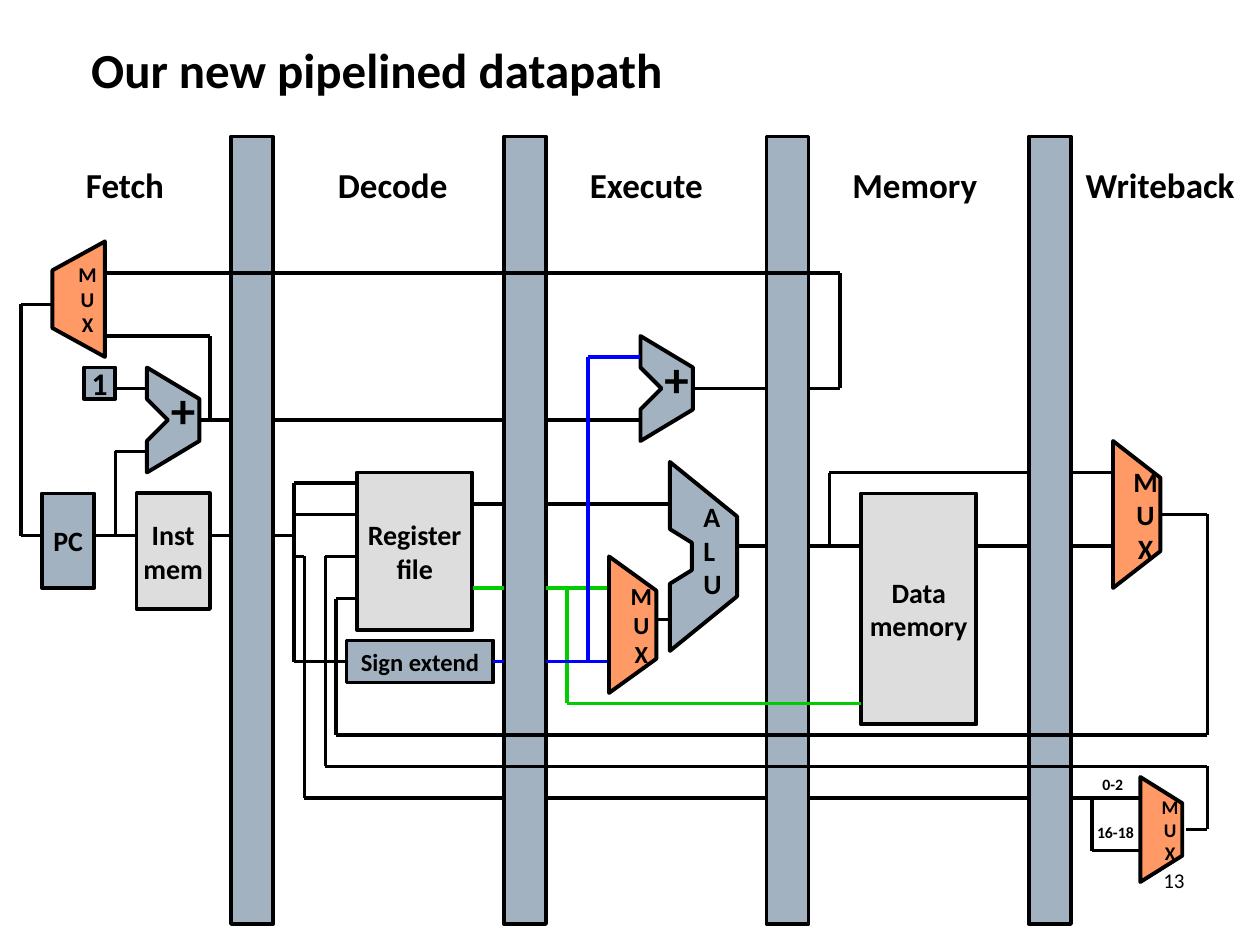
"""Builds a slide with a five-stage pipelined processor datapath."""
from dataclasses import dataclass
from itertools import pairwise

from lxml.etree import SubElement
from pptx import Presentation
from pptx.dml.color import RGBColor
from pptx.enum.shapes import MSO_CONNECTOR, MSO_SHAPE
from pptx.enum.text import MSO_ANCHOR, PP_ALIGN
from pptx.oxml.ns import qn
from pptx.util import Inches, Pt


@dataclass(frozen=True)
class Theme:
    """Colours, font and sizes used on the slide."""
    font: str = "Calibri"
    black: str = "000000"
    steel: str = "A3B2C1"
    gray: str = "DDDDDD"
    orange: str = "FF9966"
    blue: str = "0000FF"
    green: str = "00CC00"
    stroke: float = 2.25
    title: int = 28
    plus: int = 28
    stage: int = 20
    digit: int = 18
    block: int = 16
    small: int = 14
    number: int = 12
    mini: int = 11
    note: int = 9


def fill_text(frame, text, font, size, color, bold=True, align=PP_ALIGN.LEFT,
              anchor=MSO_ANCHOR.TOP, wrap=False):
    """Fill a text frame with one paragraph per line of text."""
    frame.word_wrap = wrap
    frame.vertical_anchor = anchor
    for index, line in enumerate(text.split("\n")):
        para = frame.add_paragraph() if index else frame.paragraphs[0]
        para.alignment = align
        span = para.add_run()
        span.text = line
        span.font.name = font
        span.font.size = Pt(size)
        span.font.bold = bold
        span.font.color.rgb = RGBColor.from_string(color)


class Datapath:
    """Draws datapath elements on a grid of twelve cells to the inch."""

    def __init__(self, page, theme):
        """Keep the page and the theme."""
        self.page = page
        self.theme = theme

    def grid(self, *cells):
        """Turn grid cells into slide lengths."""
        return [Inches(cell / 12) for cell in cells]

    def style(self, shape, fill):
        """Give a shape its fill and outline."""
        shape.shadow.inherit = False
        shape.fill.solid()
        shape.fill.fore_color.rgb = RGBColor.from_string(fill)
        shape.line.color.rgb = RGBColor.from_string(self.theme.black)
        shape.line.width = Pt(self.theme.stroke)

    def caption(self, shape, text, size, **options):
        """Put text in a shape with the theme font."""
        fill_text(shape.text_frame, text, font=self.theme.font, size=size,
                  color=self.theme.black, **options)

    def label(self, text, cells, size, **options):
        """Add a text box."""
        box = self.page.shapes.add_textbox(*self.grid(*cells))
        self.caption(box, text, size, **options)

    def block(self, cells, fill, text="", size=None):
        """Add a rectangle with optional centred text."""
        box = self.page.shapes.add_shape(MSO_SHAPE.RECTANGLE, *self.grid(*cells))
        self.style(box, fill)
        if text:
            self.caption(box, text, size, align=PP_ALIGN.CENTER, anchor=MSO_ANCHOR.MIDDLE)
        return box

    def outline(self, points, fill):
        """Add a closed polygon."""
        corners = [self.grid(*point) for point in points]
        builder = self.page.shapes.build_freeform(*corners[0])
        builder.add_line_segments(corners[1:], close=True)
        shape = builder.convert_to_shape()
        self.style(shape, fill)
        return shape

    def adder(self, left, top):
        """Add a notched adder with a plus sign."""
        notch = [(0, 0), (5, 3), (5, 7), (0, 10), (0, 7), (2, 5), (0, 3)]
        self.outline([(left + x, top + y) for x, y in notch], self.theme.steel)
        self.label("+", (left + 1.1, top + 0.6, 4.8, 6.8), self.theme.plus)

    def mux(self, inputs, output, top, height, size):
        """Add a multiplexer that narrows from its input to its output column."""
        taper = height / 4
        shape = self.outline([(inputs, top), (output, top + taper),
                              (output, top + height - taper), (inputs, top + height)],
                             self.theme.orange)
        frame = shape.text_frame
        frame.margin_left = Inches(0.14)
        frame.margin_right = frame.margin_top = frame.margin_bottom = 0
        self.caption(shape, "M\nU\nX", size, align=PP_ALIGN.CENTER, anchor=MSO_ANCHOR.MIDDLE)

    def wire(self, points, color):
        """Join grid points with straight connectors and return the last one."""
        for start, end in pairwise(points):
            line = self.page.shapes.add_connector(
                MSO_CONNECTOR.STRAIGHT, *self.grid(*start, *end))
            line.line.color.rgb = RGBColor.from_string(color)
            line.line.width = Pt(self.theme.stroke)
            SubElement(line._element.spPr, qn("a:effectLst"))
        return line


def main():
    """Build and save the deck."""
    deck = Presentation()
    deck.slide_width, deck.slide_height = Inches(10), Inches(7.5)
    page = deck.slides.add_slide(deck.slide_layouts[6])
    theme = Theme()
    diagram = Datapath(page, theme)

    diagram.label("Our new pipelined datapath", (7.5, -1, 105, 11), theme.title,
                  anchor=MSO_ANCHOR.BOTTOM, wrap=True)
    diagram.label("13", (86, 82, 28, 6.2), theme.number, bold=False,
                  align=PP_ALIGN.RIGHT, wrap=True)
    for text, left, width in [("Fetch", 7, 10), ("Decode", 31, 13),
                              ("Execute", 55, 13.3), ("Memory", 80, 14.4)]:
        diagram.label(text, (left, 15, width, 5.3), theme.stage)
    diagram.label("Writeback", (101, 15, 19, 5.3), theme.stage,
                  align=PP_ALIGN.CENTER, wrap=True)

    for left in (22, 48, 73, 98):
        diagram.block((left, 13, 4, 75), theme.steel)
    diagram.block((4, 47, 5, 9), theme.steel, "PC", theme.block)
    diagram.block((13, 47, 7, 11), theme.gray, "Inst\nmem", theme.block)
    diagram.block((34, 45, 11, 15), theme.gray, "Register\nfile", theme.block)
    diagram.block((82, 47, 11, 22), theme.gray, "Data\nmemory", theme.block)
    diagram.block((8, 35, 3, 3), theme.steel, "1", theme.digit)
    extend = diagram.block((33, 61, 14, 4), theme.steel, "Sign extend", theme.small)
    diagram.outline([(63.8, 44), (70.2, 49.2), (70.2, 56.8), (63.8, 62), (63.8, 55.6),
                     (65.9, 54.3), (65.9, 51.7), (63.8, 50.4)], theme.steel)
    diagram.label("A\nL\nU", (65.8, 47, 4.2, 10.9), theme.block)
    diagram.adder(14, 35)
    diagram.adder(61, 32)

    wires = {
        theme.black: [
            [(20, 51), (22, 51)],
            [(19, 40), (22, 40)],
            [(20, 40), (20, 32), (9, 32)],
            [(11, 37), (14, 37)],
            [(9, 51), (13, 51)],
            [(11, 51), (11, 43), (14, 43)],
            [(4, 51), (2, 51), (2, 29), (5, 29)],
            [(26, 51), (28, 51)],
            [(34, 46), (28, 46), (28, 63)],
            [(28, 49), (34, 49)],
            [(28, 53), (29, 53), (29, 76), (48, 76)],
            [(45, 48), (48, 48)], [(52, 48), (64, 48)],
            [(26, 40), (48, 40)], [(52, 40), (61, 40)],
            [(62, 59), (64, 59)],
            [(70, 52), (73, 52)], [(77, 52), (82, 52)],
            [(66, 37), (73, 37)], [(77, 37), (80, 37), (80, 26), (9, 26)],
            [(79, 52), (79, 45), (98, 45)], [(102, 45), (106, 45)],
            [(93, 52), (98, 52)], [(102, 52), (106, 52)],
            [(110, 49), (115, 49), (115, 70), (32, 70), (32, 57), (34, 57)],
            [(113, 79), (115, 79), (115, 73), (31, 73), (31, 53), (34, 53)],
            [(52, 76), (73, 76)], [(77, 76), (98, 76)], [(102, 76), (109, 76)],
            [(104, 76), (104, 81), (109, 81)],
        ],
        theme.green: [
            [(45, 56), (48, 56)], [(52, 56), (61, 56)],
            [(54, 56), (54, 67), (82, 67)],
        ],
        theme.blue: [
            [(52, 63), (58, 63)],
            [(56, 63), (56, 34), (61, 34)],
        ],
    }
    for color, routes in wires.items():
        for route in routes:
            diagram.wire(route, color)
    diagram.wire([(28, 63), (33, 63)], theme.black).end_connect(extend, 1)
    diagram.wire([(47, 63), (48, 63)], theme.blue).begin_connect(extend, 3)

    diagram.mux(10, 5, 23, 11, theme.number)
    diagram.mux(58, 62.5, 53, 13, theme.small)
    diagram.mux(106, 110.5, 42, 14, theme.block)
    diagram.mux(108.6, 112.6, 74, 10, theme.mini)
    diagram.label("0-2", (103.8, 73.2, 4.4, 3), theme.note)
    diagram.label("16-18", (103.3, 77.8, 5.9, 3), theme.note)

    deck.save("out.pptx")


if __name__ == "__main__":
    main()
